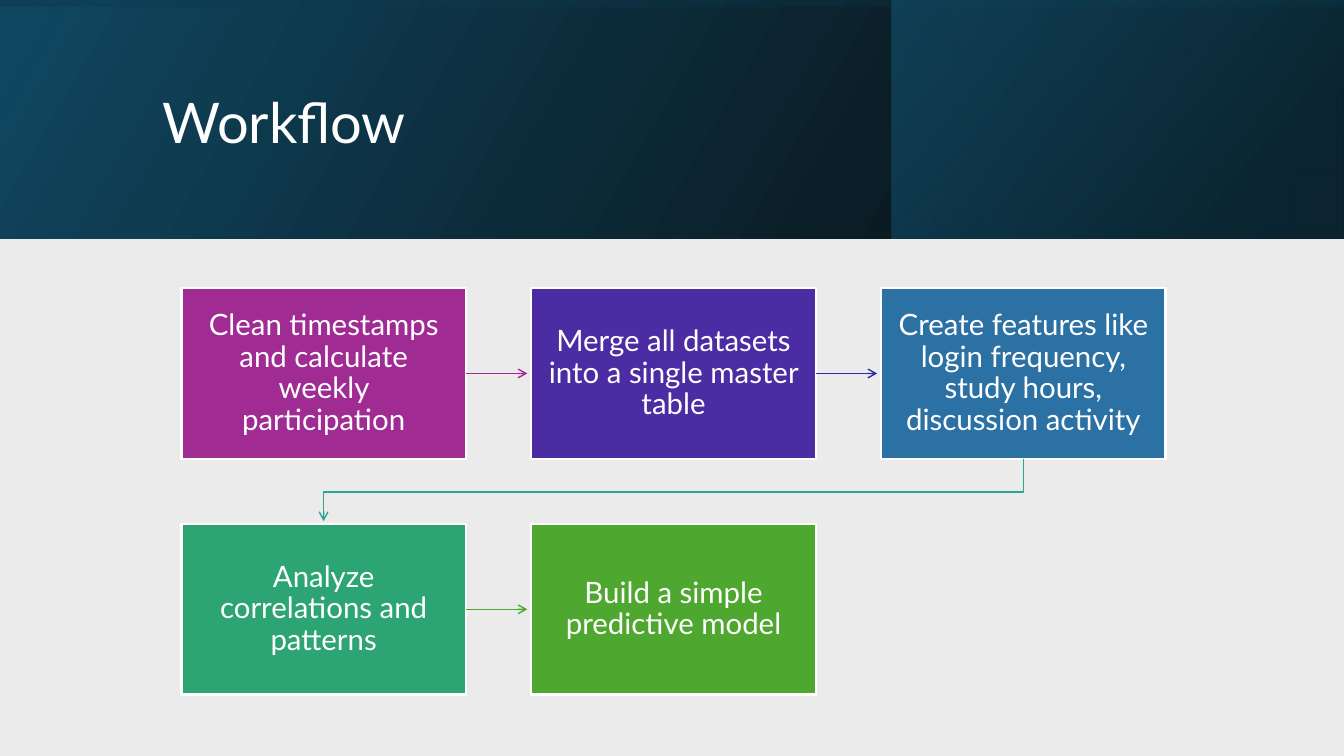
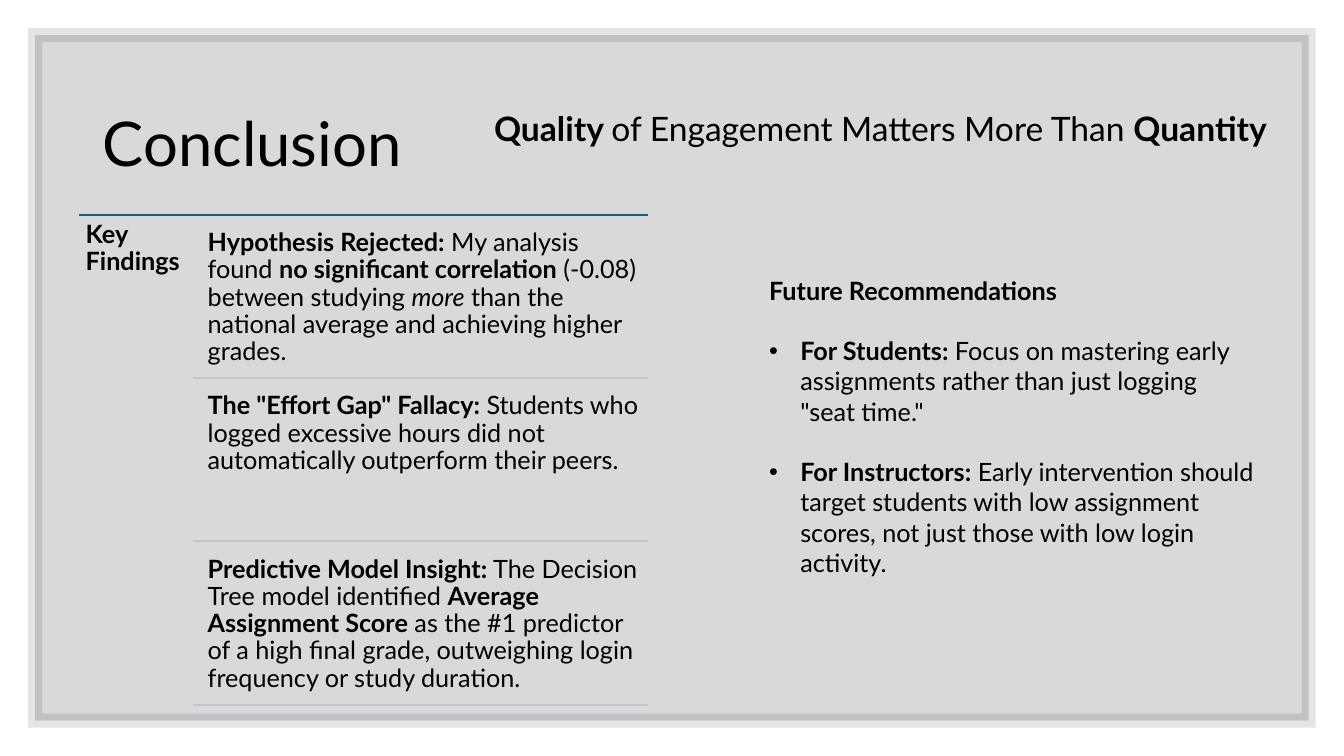
import pptx
import pptx.dml.color
import pptx.enum.shapes
import pptx.enum.text
import pptx.oxml.ns
import pptx.oxml.xmlchemy
import pptx.util
import lxml.etree

Inches = pptx.util.Inches
Pt = pptx.util.Pt
qn = pptx.oxml.ns.qn
RECTANGLE = pptx.enum.shapes.MSO_SHAPE.RECTANGLE
STRAIGHT = pptx.enum.shapes.MSO_CONNECTOR.STRAIGHT
ALIGN = pptx.enum.text.PP_ALIGN
ANCHOR = pptx.enum.text.MSO_ANCHOR
FONT = "Lato"
BLACK, WHITE = "000000", "FFFFFF"


def colour(hex_value):
    return pptx.dml.color.RGBColor.from_string(hex_value)


def add_runs(paragraph, runs, size, hex_value, line_spacing=0.9):
    """Add (text, style) runs; style is "b" for bold, "i" for italic or empty."""
    paragraph.line_spacing = line_spacing
    for text, style in runs:
        run = paragraph.add_run()
        run.text = text
        run.font.name = FONT
        run.font.size = Pt(size)
        run.font.color.rgb = colour(hex_value)
        run.font.bold = style == "b"
        run.font.italic = style == "i"


presentation = pptx.Presentation()
presentation.slide_width = Inches(13.33)
presentation.slide_height = Inches(7.5)

# Slides with their backgrounds and titles
slides = []
for layout, background, title_text, box, size, text_colour in [
    (5, "EBEBEB", "Workflow", (1.51, 0.38, 10.63, 1.72), 40, WHITE),
    (1, WHITE, "Conclusion", (0.92, 0.73, 11.5, 1.45), 44, BLACK),
]:
    slide = presentation.slides.add_slide(presentation.slide_layouts[layout])
    slide.background.fill.solid()
    slide.background.fill.fore_color.rgb = colour(background)
    title = slide.shapes.title
    title.left, title.top, title.width, title.height = map(Inches, box)
    title.text_frame.auto_size = pptx.enum.text.MSO_AUTO_SIZE.NONE
    title.text_frame.vertical_anchor = ANCHOR.MIDDLE
    paragraph = title.text_frame.paragraphs[0]
    paragraph.alignment = ALIGN.LEFT
    add_runs(paragraph, [(title_text, "")], size, text_colour)
    slides.append(slide)
workflow, conclusion = slides

# Workflow: header bands, each stop is (position, colour, opacity in percent)
bands = [
    ((0, 0, 13.33, 2.37), 0, 330, [(0, BLACK, 96), (1, "104862", 100)]),
    ((8.84, 0, 4.48, 2.37), 0, 320, [(0.19, "0B3041", 68), (1, "156082", 48)]),
    ((5.48, -5.48, 2.37, 13.33), 270, 350, [(0.23, "104862", 16), (0.99, BLACK, 45)]),
]
for index, (box, rotation, angle, stops) in enumerate(bands):
    band = workflow.shapes.add_shape(RECTANGLE, *map(Inches, box))
    band.shadow.inherit = False
    band.line.fill.background()
    band.rotation = rotation
    band._element.spPr.xfrm.set("flipH", "1")
    band.fill.gradient()
    band.fill.gradient_angle = 360 - angle
    for stop, (position, hex_value, opacity) in zip(band.fill.gradient_stops, stops):
        stop.position = position
        stop.color.rgb = colour(hex_value)
    for node, stop in zip(band._element.spPr.iter(qn("a:srgbClr")), stops):
        lxml.etree.SubElement(node, qn("a:alpha")).set("val", str(stop[2] * 1000))
    workflow.shapes._spTree.insert(2 + index, band._element)

# Workflow: steps, three to a row
STEP_LEFT, STEP_TOP, STEP_WIDTH, STEP_HEIGHT = 1.8, 2.86, 2.82, 1.69
COLUMN_PITCH, ROW_PITCH, ARROW_LENGTH = 3.47, 2.34, 0.61
steps = []
for index, (text, fill) in enumerate([
    ("Clean timestamps and calculate weekly participation", "A02B93"),
    ("Merge all datasets into a single master table", "4B2CA2"),
    ("Create features like login frequency, study hours, discussion activity", "2C71A4"),
    ("Analyze correlations and patterns", "2DA573"),
    ("Build a simple predictive model", "4EA72E"),
]):
    row, column = divmod(index, 3)
    step = workflow.shapes.add_shape(
        RECTANGLE,
        Inches(STEP_LEFT + column * COLUMN_PITCH), Inches(STEP_TOP + row * ROW_PITCH),
        Inches(STEP_WIDTH), Inches(STEP_HEIGHT))
    step.shadow.inherit = False
    step.fill.solid()
    step.fill.fore_color.rgb = colour(fill)
    step.line.color.rgb = colour(WHITE)
    step.line.width = Pt(1.5)
    frame = step.text_frame
    frame.word_wrap = True
    frame.vertical_anchor = ANCHOR.MIDDLE
    frame.margin_left = frame.margin_right = Inches(0.14)
    frame.margin_top = frame.margin_bottom = Inches(0.15)
    frame.paragraphs[0].alignment = ALIGN.CENTER
    add_runs(frame.paragraphs[0], [(text, "")], 21, WHITE)
    steps.append(step)

# Workflow: arrows along the rows and one that turns to the second row
arrows = []
for index, hex_value in [(0, "A02B93"), (1, "2C2EA2"), (3, "4EA72E")]:
    step = steps[index]
    start = step.left + step.width
    middle = step.top + step.height // 2
    arrow = workflow.shapes.add_connector(
        STRAIGHT, start, middle, start + Inches(ARROW_LENGTH), middle)
    arrow.begin_connect(step, 3)
    arrows.append((arrow, hex_value))

turn_start = steps[2].left + steps[2].width // 2
turn_end = steps[3].left + steps[3].width // 2
builder = workflow.shapes.build_freeform(turn_start, steps[2].top + steps[2].height)
builder.add_line_segments(
    [(turn_start, Inches(4.88)), (turn_end, Inches(4.88)), (turn_end, Inches(5.17))],
    close=False)
turn = builder.convert_to_shape()
turn.fill.background()
arrows.append((turn, "2DA594"))

for arrow, hex_value in arrows:
    arrow.line.color.rgb = colour(hex_value)
    arrow.line.width = Pt(1)
    line = arrow._element.spPr.find(qn("a:ln"))
    lxml.etree.SubElement(line, qn("a:tailEnd")).set("type", "arrow")
    lxml.etree.SubElement(arrow._element.spPr, qn("a:effectLst"))

# Conclusion: translucent panel with a heavy border
panel = conclusion.shapes.add_shape(
    RECTANGLE, Inches(0.35), Inches(0.35), Inches(12.63), Inches(6.8))
panel.shadow.inherit = False
panel.fill.solid()
panel.fill.fore_color.rgb = colour(BLACK)
panel.line.color.rgb = colour(BLACK)
panel.line.width = Pt(10)
for node, opacity in zip(panel._element.spPr.iter(qn("a:srgbClr")), (15, 10)):
    lxml.etree.SubElement(node, qn("a:alpha")).set("val", str(opacity * 1000))
border = panel._element.spPr.find(qn("a:ln"))
lxml.etree.SubElement(border, qn("a:miter")).set("lim", "800000")
conclusion.shapes._spTree.insert(2, panel._element)

# Conclusion: headline
headline = conclusion.placeholders[1]
headline.left, headline.top = Inches(4.8), Inches(1.07)
headline.width, headline.height = Inches(8.01), Inches(0.76)
headline.text_frame.auto_size = pptx.enum.text.MSO_AUTO_SIZE.NONE
paragraph = headline.text_frame.paragraphs[0]
properties = paragraph._p.get_or_add_pPr()
properties.set("marL", "0")
properties.set("indent", "0")
lxml.etree.SubElement(properties, qn("a:buNone"))
paragraph.space_before = Pt(10)
add_runs(paragraph, [("Quality ", "b"), ("of Engagement Matters More Than ", ""),
                     ("Quantity", "b")], 24, BLACK)

# Conclusion: key findings
FINDINGS_TOP, FINDING_PITCH = 2.13, 1.62
findings = [
    [("Hypothesis Rejected:", "b"), (" My analysis found ", ""),
     ("no significant correlation", "b"), (" (-0.08) between studying ", ""),
     ("more", "i"), (" than the national average and achieving higher grades.", "")],
    [('The "Effort Gap" Fallacy:', "b"),
     (" Students who logged excessive hours did not automatically outperform their peers.", "")],
    [("Predictive Model Insight:", "b"), (" The Decision Tree model identified ", ""),
     ("Average Assignment Score", "b"),
     (" as the #1 predictor of a high final grade, outweighing login frequency "
      "or study duration.", "")],
]
text_boxes = [((0.78, FINDINGS_TOP, 1.13, 4.95), [("Key Findings", "b")])]
rules = [(0.78, FINDINGS_TOP, "156082")]
for index, runs in enumerate(findings):
    top = FINDINGS_TOP + index * FINDING_PITCH
    text_boxes.append(((1.99, top + 0.08, 4.44, 1.55), runs))
    rules.append((1.91, top + FINDING_PITCH, "BDC5CD"))

for left, top, hex_value in rules:
    rule = conclusion.shapes.add_connector(
        STRAIGHT, Inches(left), Inches(top), Inches(6.43), Inches(top))
    rule.line.color.rgb = colour(hex_value)
    rule.line.width = Pt(1.5)
    lxml.etree.SubElement(rule._element.spPr, qn("a:effectLst"))

for box, runs in text_boxes:
    frame = conclusion.shapes.add_textbox(*map(Inches, box)).text_frame
    frame.word_wrap = True
    frame.margin_left = frame.margin_right = Inches(0.07)
    frame.margin_top = frame.margin_bottom = Inches(0.07)
    add_runs(frame.paragraphs[0], runs, 18, BLACK)

# Conclusion: recommendations
frame = conclusion.shapes.add_textbox(
    Inches(7.53), Inches(2.68), Inches(5.03), Inches(3.43)).text_frame
frame.word_wrap = True
add_runs(frame.paragraphs[0], [("Future Recommendations", "b")], 18, BLACK, 1.0)
for audience, advice in [
    ("For Students:",
     ' Focus on mastering early assignments rather than just logging "seat time."'),
    ("For Instructors:",
     " Early intervention should target students with low assignment scores, "
     "not just those with low login activity."),
]:
    paragraph = frame.add_paragraph()
    properties = paragraph._p.get_or_add_pPr()
    properties.set("marL", str(Inches(0.31)))
    properties.set("indent", str(Inches(-0.31)))
    lxml.etree.SubElement(properties, qn("a:buFont")).set("typeface", "Arial")
    lxml.etree.SubElement(properties, qn("a:buChar")).set("char", "•")
    paragraph.space_before = Pt(21.6)
    add_runs(paragraph, [(audience, "b"), (advice, "")], 18, BLACK, 1.0)

presentation.save("out.pptx")
